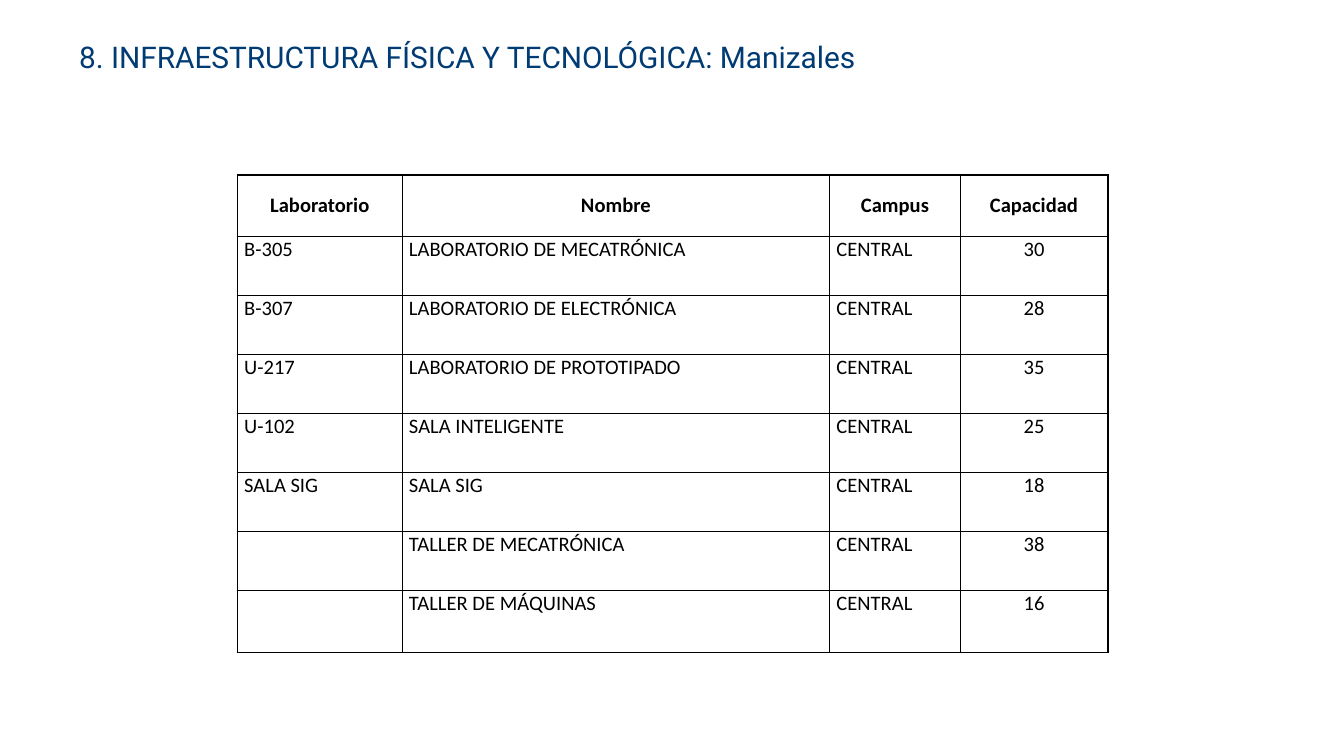
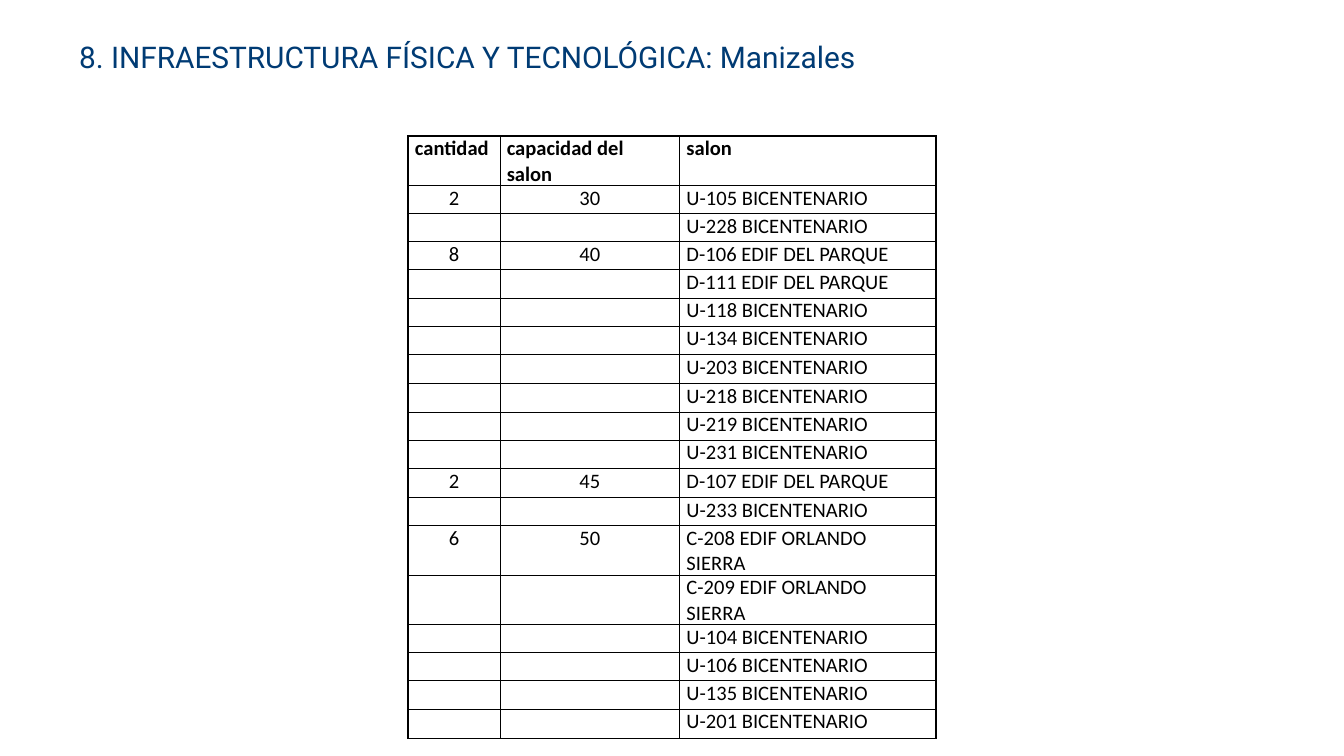
from dataclasses import dataclass

from lxml.etree import SubElement
from pptx import Presentation
from pptx.dml.color import RGBColor
from pptx.enum.text import MSO_ANCHOR, PP_ALIGN
from pptx.oxml.ns import qn
from pptx.util import Pt


@dataclass(frozen=True)
class Theme:
    """Colours, fonts, type sizes and line widths of the deck."""
    navy: str = "003B74"
    black: str = "000000"
    white: str = "FFFFFF"
    title_font: str = "Roboto"
    body_font: str = "Calibri"
    title_size: float = 16
    body_size: float = 11
    thin: float = 0.5
    thick: float = 1


T = Theme()
TITLE = "8. INFRAESTRUCTURA FÍSICA Y TECNOLÓGICA: Manizales"
TITLE_BOX = (35.3, 17.3, 525, 30)

LABS = [("Laboratorio", "Nombre", "Campus", "Capacidad")] + [
    (code, name, "CENTRAL", seats) for code, name, seats in [
        ("B-305", "LABORATORIO DE MECATRÓNICA", "30"),
        ("B-307", "LABORATORIO DE ELECTRÓNICA", "28"),
        ("U-217", "LABORATORIO DE PROTOTIPADO", "35"),
        ("U-102", "SALA INTELIGENTE", "25"),
        ("SALA SIG", "SALA SIG", "18"),
        ("", "TALLER DE MECATRÓNICA", "38"),
        ("", "TALLER DE MÁQUINAS", "16"),
    ]
]

BICENTENARIO, PARQUE, SIERRA = "BICENTENARIO", "EDIF DEL PARQUE", "EDIF ORLANDO SIERRA"
ROOM_GROUPS = [
    ("30", [("U-105", BICENTENARIO), ("U-228", BICENTENARIO)]),
    ("40", [("D-106", PARQUE), ("D-111", PARQUE)] + [
        (f"U-{n}", BICENTENARIO) for n in (118, 134, 203, 218, 219, 231)]),
    ("45", [("D-107", PARQUE), ("U-233", BICENTENARIO)]),
    ("50", [("C-208", SIERRA), ("C-209", SIERRA)] + [
        (f"U-{n}", BICENTENARIO) for n in (104, 106, 135, 201)]),
]


def room_rows():
    """Return the room table, with count and capacity on each group's first row."""
    rows = [("cantidad", "capacidad del salon", "salon")]
    for seats, rooms in ROOM_GROUPS:
        for i, (code, building) in enumerate(rooms):
            lead = ("", "") if i else (str(len(rooms)), seats)
            rows.append((*lead, f"{code} {building}"))
    return rows


def write(tf, text, font=T.body_font, size=T.body_size, color=T.black,
          bold=False, align=None, spacing=None, anchor=MSO_ANCHOR.TOP):
    """Write one formatted paragraph into a text frame."""
    tf.word_wrap = True
    tf.vertical_anchor = anchor
    p = tf.paragraphs[0]
    p.alignment = align
    p.line_spacing = spacing
    if not text:
        SubElement(p._p, qn("a:endParaRPr"), sz=str(int(size * 100)))
        return
    r = p.add_run()
    r.text = text
    r.font.name, r.font.size, r.font.bold = font, Pt(size), bold
    r.font.color.rgb = RGBColor.from_string(color)


def set_borders(cell, **widths):
    """Draw the cell's sides in the order L, R, T, B with the given widths."""
    tcPr = cell._tc.get_or_add_tcPr()
    for side in "LRTB":
        ln = SubElement(tcPr, qn(f"a:ln{side}"), w=str(Pt(widths[side])))
        SubElement(SubElement(ln, qn("a:solidFill")), qn("a:srgbClr"), val=T.black)


def add_title(s, box):
    """Place the shared title in the given box."""
    tf = s.shapes.add_textbox(*map(Pt, box)).text_frame
    tf.margin_left = tf.margin_right = tf.margin_top = tf.margin_bottom = Pt(7.2)
    write(tf, TITLE, font=T.title_font, size=T.title_size, color=T.navy, spacing=0.8)


def add_grid(s, left, top, rows, cols, heights, centred=(), filled=(),
             head_align=None, head_anchor=MSO_ANCHOR.TOP, head_line=T.thin):
    """Place a ruled table with a bold header and a thicker outer frame."""
    frame = s.shapes.add_table(len(rows), len(cols), Pt(left), Pt(top),
                               Pt(sum(cols)), Pt(sum(heights)))
    table = frame.table
    table.first_row = table.horz_banding = False
    for col, width in zip(table.columns, cols):
        col.width = Pt(width)
    for row, height in zip(table.rows, heights):
        row.height = Pt(height)
    last_row, last_col = len(rows) - 1, len(cols) - 1
    for i, row in enumerate(rows):
        for j, text in enumerate(row):
            cell = table.cell(i, j)
            cell.margin_left = cell.margin_right = Pt(3.6)
            cell.margin_top = cell.margin_bottom = 0
            set_borders(
                cell,
                L=T.thin if j else T.thick,
                R=T.thick if j == last_col else T.thin,
                T=(T.thick, head_line)[i] if i < 2 else T.thin,
                B=head_line if i == 0 else T.thick if i == last_row else T.thin)
            if i and j in filled:
                cell.fill.solid()
                cell.fill.fore_color.rgb = RGBColor.from_string(T.white)
            else:
                cell.fill.background()
            body_align = PP_ALIGN.CENTER if j in centred else None
            write(cell.text_frame, text, bold=i == 0,
                  align=body_align if i else head_align)
            cell.vertical_anchor = MSO_ANCHOR.TOP if i else head_anchor


def add_slide(prs):
    """Add a blank slide with the shared title."""
    s = prs.slides.add_slide(prs.slide_layouts[6])
    add_title(s, TITLE_BOX)
    return s


def labs_slide(prs):
    """Build the slide of laboratories."""
    add_grid(add_slide(prs), 127.2, 93.8, LABS, cols=(88.3, 229, 70, 79),
             heights=[33] + [31.6] * 6 + [33.2], centred=(3,), filled=(0, 1, 3),
             head_align=PP_ALIGN.CENTER, head_anchor=MSO_ANCHOR.MIDDLE,
             head_line=T.thick)


def rooms_slide(prs):
    """Build the slide of classrooms by capacity."""
    rows = room_rows()
    tall = (0, 7, 11, len(rows) - 1)
    add_grid(add_slide(prs), 218.7, 72.9, rows, cols=(49.2, 96.3, 137.4),
             heights=[15.8 if i in tall else 15.1 for i in range(len(rows))],
             centred=(0, 1))


def main():
    """Build and save the deck."""
    prs = Presentation()
    prs.slide_width, prs.slide_height = Pt(720), Pt(405)
    labs_slide(prs)
    rooms_slide(prs)
    prs.save("out.pptx")


if __name__ == "__main__":
    main()
